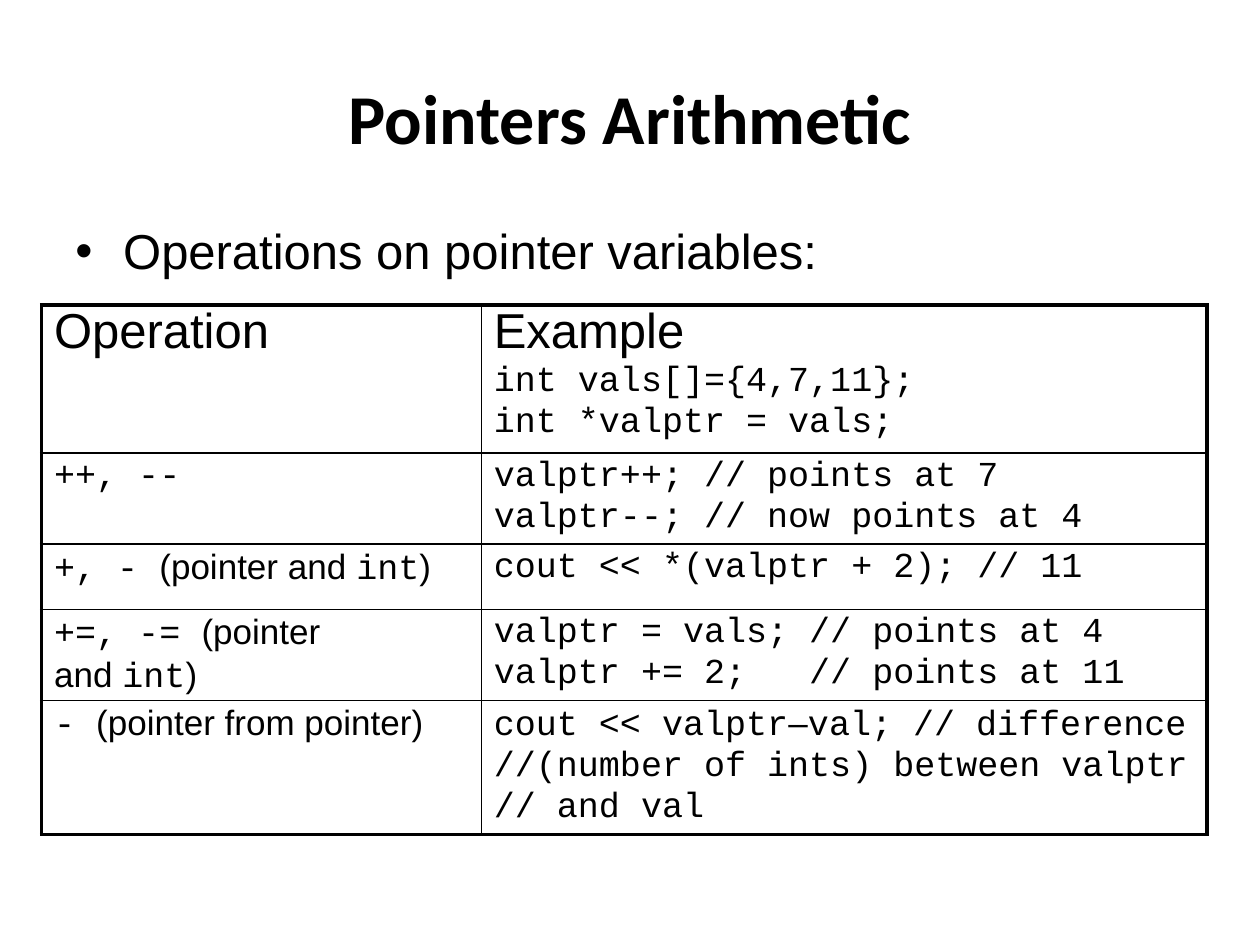
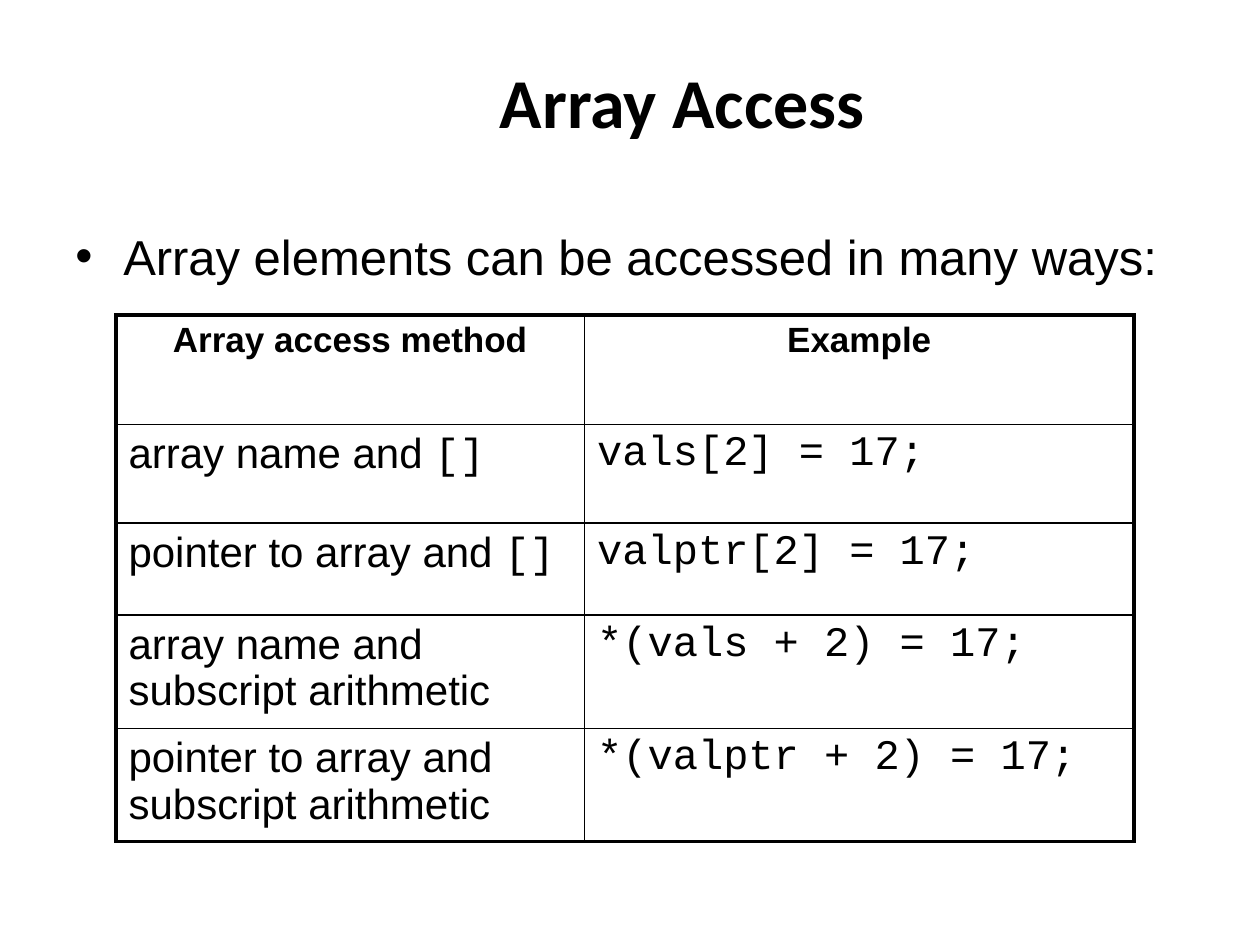
from lxml import etree
from pptx import Presentation
from pptx import util as u
from pptx.dml.color import RGBColor
from pptx.enum import text
from pptx.oxml import ns

BLACK = RGBColor(0x00, 0x00, 0x00)
WHITE = RGBColor(0xFF, 0xFF, 0xFF)
BODY, CODE = "Arial", "Courier New"
OUTER, INNER = 2.25, 1
TITLE = {"name": "Calibri", "size": u.Pt(40), "bold": True}
BULLET = {"name": BODY, "size": u.Pt(28), "bold": False}

# Text between backticks is code.
OPERATIONS = [
    (["Operation"], ["Example", "`int vals[]={4,7,11};`", "`int *valptr = vals;`"]),
    (["`++, --`"], ["`valptr++; // points at 7`", "`valptr--; // now points at 4`"]),
    (["`+, - `(pointer and `int`)"], ["`cout << *(valptr + 2); // 11`"]),
    (["`+=, -= `(pointer", "and `int`)"],
     ["`valptr = vals; // points at 4`", "`valptr += 2;   // points at 11`"]),
    (["`- `(pointer from pointer)"],
     ["`cout << valptr`–`val; // difference`",
      "`//(number of ints) between valptr`", "`// and val`"]),
]
ACCESS_METHODS = [
    (["Array access method"], ["Example"]),
    (["array name and `[]`"], ["`vals[2] = 17;`"]),
    (["pointer to array and `[]`"], ["`valptr[2] = 17;`"]),
    (["array name and subscript arithmetic"], ["`*(vals + 2) = 17;`"]),
    (["pointer to array and subscript arithmetic"], ["`*(valptr + 2) = 17;`"]),
]


def add_run(p, words, formats):
    r = p.add_run()
    r.text = words
    r.font.color.rgb = BLACK
    for name, value in formats.items():
        setattr(r.font, name, value)


def add_marked_line(p, line, formats):
    for i, words in enumerate(line.split("`")):
        if words:
            add_run(p, words, {**formats, "name": CODE if i % 2 else BODY})


def add_text_box(slide, box, anchor):
    tf = slide.shapes.add_textbox(*map(u.Inches, box)).text_frame
    tf.word_wrap = True
    tf.vertical_anchor = anchor
    return tf.paragraphs[0]


def add_title(slide, box, words):
    p = add_text_box(slide, box, text.MSO_ANCHOR.MIDDLE)
    p.alignment = text.PP_ALIGN.CENTER
    add_run(p, words, TITLE)


def add_bullet(slide, box, words, spacing):
    p = add_text_box(slide, box, text.MSO_ANCHOR.TOP)
    p.line_spacing = spacing
    pPr = p._p.get_or_add_pPr()
    pPr.set("marL", str(u.Inches(0.38)))
    pPr.set("indent", str(-u.Inches(0.38)))
    etree.SubElement(pPr, ns.qn("a:buFont")).set("typeface", BODY)
    etree.SubElement(pPr, ns.qn("a:buChar")).set("char", "•")
    add_run(p, words, BULLET)


def add_border(cell, side, width):
    ln = etree.SubElement(cell._tc.get_or_add_tcPr(), ns.qn(f"a:ln{side}"),
                          w=str(u.Pt(width)))
    fill = etree.SubElement(ln, ns.qn("a:solidFill"))
    etree.SubElement(fill, ns.qn("a:srgbClr")).set("val", str(BLACK))


def add_grid(slide, at, widths, heights, rows, head, body, spacing=1.0,
             head_align=text.PP_ALIGN.LEFT):
    """Table with a heavy frame; the first line of each top cell is its heading."""
    last_row, last_col = len(heights) - 1, len(widths) - 1
    box = (*at, sum(widths), sum(heights))
    table = slide.shapes.add_table(len(heights), len(widths),
                                   *map(u.Inches, box)).table
    table.first_row = table.horz_banding = False
    for col, width in zip(table.columns, widths):
        col.width = u.Inches(width)
    for row, height in zip(table.rows, heights):
        row.height = u.Inches(height)
    for i, row in enumerate(rows):
        for j, lines in enumerate(row):
            cell = table.cell(i, j)
            edges = {"L": j == 0, "R": j == last_col, "T": i == 0, "B": i == last_row}
            for side, is_outer in edges.items():
                add_border(cell, side, OUTER if is_outer else INNER)
            cell.fill.background()
            tf = cell.text_frame
            for k, line in enumerate(lines):
                is_head = i == 0 and k == 0
                p = tf.add_paragraph() if k else tf.paragraphs[0]
                p.line_spacing = spacing
                if k:
                    p.space_before = u.Pt(4)
                if is_head:
                    p.alignment = head_align
                add_marked_line(p, line, head if is_head else body)


def new_slide(prs):
    slide = prs.slides.add_slide(prs.slide_layouts[6])
    slide.background.fill.solid()
    slide.background.fill.fore_color.rgb = WHITE
    return slide


def build_pointer_arithmetic(prs):
    s = new_slide(prs)
    add_title(s, (0.5, 0.3, 9, 1.25), "Pointers Arithmetic")
    add_bullet(s, (0.5, 1.75, 8.17, 0.49), "Operations on pointer variables:", 0.9)
    add_grid(s, (0.33, 2.42), (3.49, 5.76), (1.09, 0.66, 0.52, 0.66, 0.98), OPERATIONS,
             head={"size": u.Pt(28), "bold": False},
             body={"size": u.Pt(20), "bold": False}, spacing=0.85)


def build_array_access(prs):
    s = new_slide(prs)
    add_title(s, (1.33, 0.17, 8.17, 1.25), "Array Access")
    add_bullet(s, (0.5, 1.75, 8.92, 0.87),
               "Array elements can be accessed in many ways:", 1.0)
    add_grid(s, (0.92, 2.5), (3.72, 4.36), (0.87, 0.78, 0.73, 0.9, 0.9), ACCESS_METHODS,
             head={"size": u.Pt(20), "bold": True},
             body={"size": u.Pt(24), "bold": False},
             head_align=text.PP_ALIGN.CENTER)


def main():
    prs = Presentation()
    prs.slide_width, prs.slide_height = u.Inches(10), u.Inches(7.5)
    build_pointer_arithmetic(prs)
    build_array_access(prs)
    prs.save("out.pptx")


if __name__ == "__main__":
    main()
